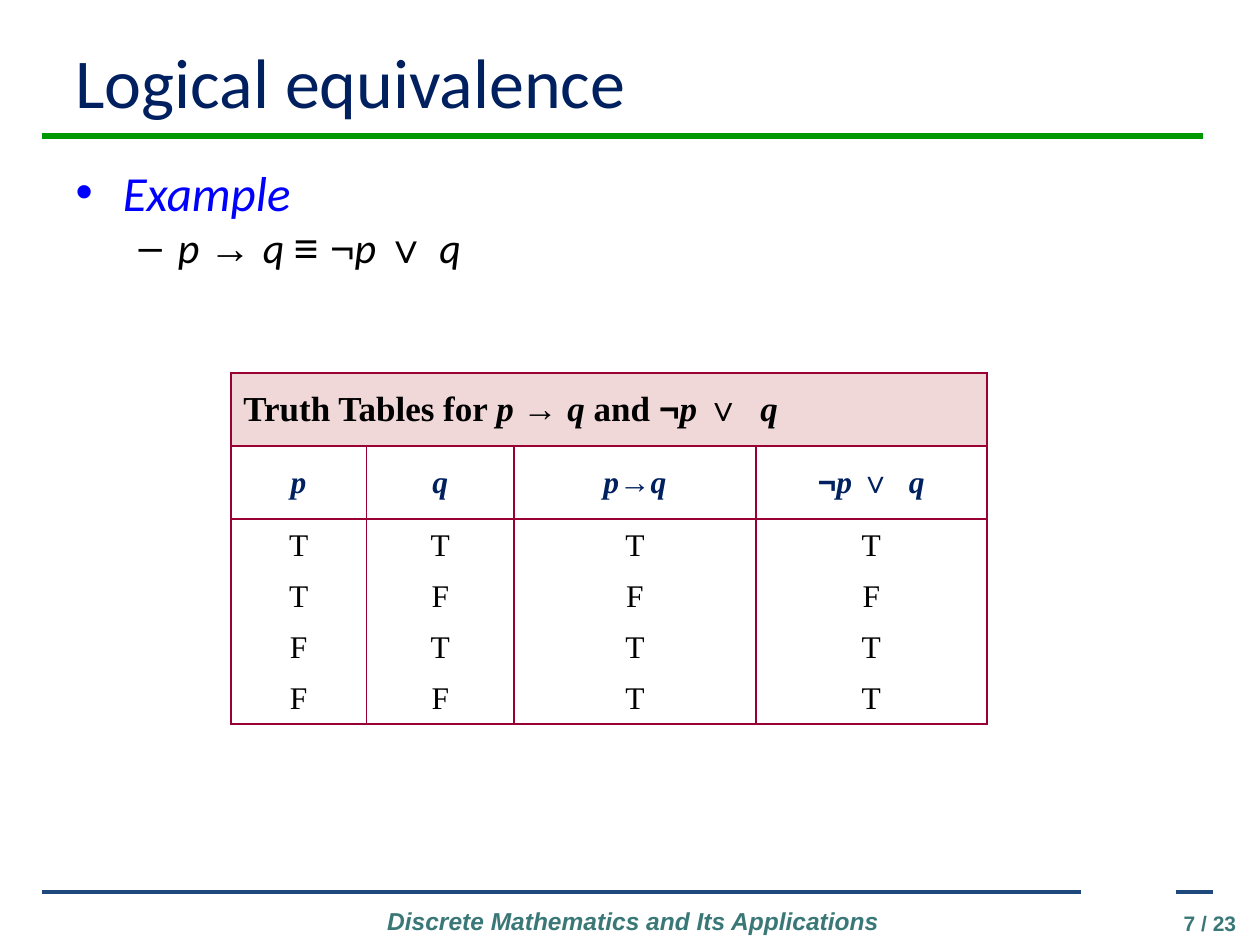
from dataclasses import dataclass
from itertools import groupby

from lxml.etree import SubElement
from pptx import Presentation
from pptx.dml.color import RGBColor
from pptx.enum.shapes import MSO_CONNECTOR as Connector
from pptx.enum.text import MSO_ANCHOR as Anchor, PP_ALIGN as Align
from pptx.oxml import parse_xml
from pptx.oxml.ns import nsdecls, qn
from pptx.util import Cm, Pt

SYMBOLS = "→≡¬∨"
VARIABLES = "pq"


def color(hex_value):
    return RGBColor.from_string(hex_value)


def formula_runs(formula):
    kind, marked = "plain", []
    for char in formula:
        if char in SYMBOLS:
            kind = "symbol"
        elif char in VARIABLES:
            kind = "variable"
        elif char != " ":
            kind = "plain"
        marked.append((kind, char))
    for kind, group in groupby(marked, key=lambda pair: pair[0]):
        yield kind, "".join(char for _, char in group)


@dataclass
class LectureSlide:
    slide: object
    heading_font: str = "Calibri"
    footer_font: str = "Arial"
    symbol_font: str = "Arial"
    table_font: str = "Times New Roman"
    navy: str = "002060"
    blue: str = "0000FF"
    black: str = "000000"
    teal: str = "3A7877"
    crimson: str = "990033"

    def format_font(self, font, hex_value, **values):
        for name, value in values.items():
            setattr(font, name, value)
        font.color.rgb = color(hex_value)

    def place(self, shape, left, top, width, height):
        box = {"left": left, "top": top, "width": width, "height": height}
        for name, value in box.items():
            setattr(shape, name, Cm(value))

    def formula(self, paragraph, text, font_name, hex_value, size, bold=False):
        for kind, part in formula_runs(text):
            run = paragraph.add_run()
            run.text = part
            name = self.symbol_font if kind == "symbol" else font_name
            self.format_font(run.font, hex_value, name=name, size=Pt(size),
                             bold=bold, italic=kind == "variable")

    def title(self, text, *box):
        title = self.slide.shapes.title
        self.place(title, *box)
        title.text_frame.vertical_anchor = Anchor.MIDDLE
        paragraph = title.text_frame.paragraphs[0]
        paragraph.text = text
        paragraph.alignment = Align.LEFT
        self.format_font(paragraph.runs[0].font, self.navy,
                         name=self.heading_font, size=Pt(40))

    def example(self, label, equivalence, *box):
        body = self.slide.placeholders[1]
        self.place(body, *box)
        heading = body.text_frame.paragraphs[0]
        heading.text = label
        self.format_font(heading.runs[0].font, self.blue,
                         name=self.heading_font, size=Pt(28), italic=True)
        statement = body.text_frame.add_paragraph()
        statement.level = 1
        self.formula(statement, equivalence, self.heading_font, self.black, 24)
        for paragraph in (heading, statement):
            paragraph.space_before = Pt(0)

    def rule(self, left, right, y, hex_value, width):
        rule = self.slide.shapes.add_connector(
            Connector.STRAIGHT, Cm(left), Cm(y), Cm(right), Cm(y))
        rule.line.color.rgb = color(hex_value)
        rule.line.width = Pt(width)
        SubElement(rule._element.spPr, qn("a:effectLst"))

    def footer(self, text, box, size, alignment, italic=False):
        footer = self.slide.shapes.add_textbox(*map(Cm, box))
        footer.text_frame.word_wrap = True
        paragraph = footer.text_frame.paragraphs[0]
        paragraph.text = text
        paragraph.alignment = alignment
        self.format_font(paragraph.runs[0].font, self.teal, name=self.footer_font,
                         size=Pt(size), bold=True, italic=italic)

    def cell_fill(self, cell, hex_value, alpha=None):
        if hex_value is None:
            cell.fill.background()
            return
        cell.fill.solid()
        cell.fill.fore_color.rgb = color(hex_value)
        if alpha:
            shade = cell._tc.tcPr.find(".//" + qn("a:srgbClr"))
            SubElement(shade, qn("a:alpha")).set("val", str(alpha * 1000))

    def cell_borders(self, cell, drawn):
        solid = f'<a:solidFill><a:srgbClr val="{self.crimson}"/></a:solidFill>'
        for index, side in enumerate("LRTB"):
            paint = solid if side in drawn else "<a:noFill/>"
            cell._tc.tcPr.insert(index, parse_xml(
                f'<a:ln{side} {nsdecls("a")} w="{Pt(1.08)}">{paint}</a:ln{side}>'))

    def truth_table(self, caption, headers, values, left, top, widths, heights):
        rows = [[caption] + [""] * (len(headers) - 1), headers, *values]
        table = self.slide.shapes.add_table(
            len(rows), len(headers), Cm(left), Cm(top),
            Cm(sum(widths)), Cm(sum(heights))).table
        table.first_row = table.horz_banding = False
        for column, width in zip(table.columns, widths):
            column.width = Cm(width)
        for row, height in zip(table.rows, heights):
            row.height = Cm(height)
        table.cell(0, 0).merge(table.cell(0, len(headers) - 1))

        caption_style = ("E4B3B2", 50, self.black, 20, True, Align.LEFT)
        header_style = ("FFFFFF", None, self.navy, 18, True, Align.CENTER)
        value_style = (None, None, self.black, 18, False, Align.CENTER)
        styles = [caption_style, header_style] + [value_style] * len(values)
        borders = ["LRTB", "LRTB", "LRT"] + ["LR"] * (len(values) - 2) + ["LRB"]
        for r, (texts, style) in enumerate(zip(rows, styles)):
            fill, alpha, ink, size, bold, alignment = style
            for c, text in enumerate(texts):
                cell = table.cell(r, c)
                cell.vertical_anchor = Anchor.MIDDLE
                self.cell_fill(cell, fill, alpha)
                self.cell_borders(cell, borders[r])
                paragraph = cell.text_frame.paragraphs[0]
                paragraph.alignment = alignment
                self.formula(paragraph, text, self.table_font, ink, size, bold)


def main():
    deck = Presentation()
    deck.slide_width, deck.slide_height = Cm(25.4), Cm(19.05)
    lecture = LectureSlide(deck.slides.add_slide(deck.slide_layouts[1]))

    lecture.rule(0.84, 24.26, 2.74, "009900", 3)
    for left, right in ((0.84, 21.79), (23.7, 24.46)):
        lecture.rule(left, right, 17.98, "1F497D", 2.25)
    lecture.footer("Discrete Mathematics and Its Applications",
                   (7.19, 18.14, 11.15, 0.86), 14, Align.CENTER, italic=True)
    lecture.footer("7 / 23", (22.58, 18.24, 2.59, 0.61), 12, Align.RIGHT)

    lecture.title("Logical equivalence", 1.27, 0.64, 22.86, 1.96)
    lecture.example("Example", "p → q ≡ ¬p ∨ q", 1.27, 3.15, 22.86, 2.46)
    lecture.truth_table(
        "Truth Tables for p → q and ¬p ∨  q",
        ["p", "q", "p→q", "¬p ∨  q"],
        ["TTTT", "TFFF", "FTTT", "FFTT"],
        4.65, 7.52,
        [2.74, 2.97, 4.88, 4.65],
        [1.47, 1.47, 1.07] + [1.02] * 3)

    deck.save("out.pptx")


if __name__ == "__main__":
    main()
